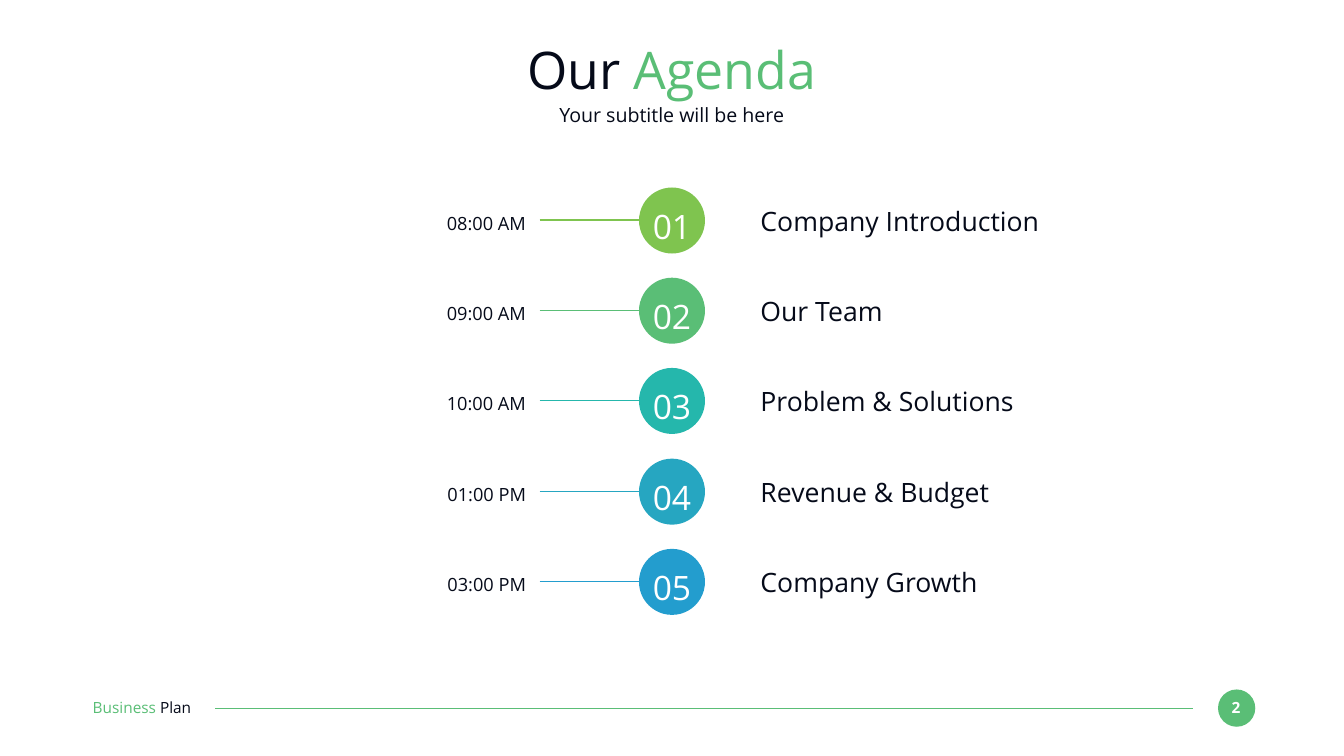
from lxml.etree import SubElement
from pptx import Presentation
from pptx.dml.color import RGBColor
from pptx.enum.shapes import MSO_CONNECTOR, MSO_SHAPE
from pptx.enum.text import MSO_ANCHOR, PP_ALIGN
from pptx.oxml.ns import qn
from pptx.util import Pt

EMU_PER_PX = 9144  # 100 px to the inch
FONT = "Open Sans"
COLORS = {
    "ink": "050A19",
    "white": "FFFFFF",
    "lime": "7FC44F",
    "green": "5ABE76",
    "teal": "25B7AC",
    "cyan": "26A6C1",
    "blue": "239DCE",
}
AGENDA = [
    ("08:00 AM", "Company Introduction", "lime"),
    ("09:00 AM", "Our Team", "green"),
    ("10:00 AM", "Problem & Solutions", "teal"),
    ("01:00 PM", "Revenue & Budget", "cyan"),
    ("03:00 PM", "Company Growth", "blue"),
]
ROW_TOP, ROW_PITCH = 372, 179.25
CIRCLE_LEFT, CIRCLE_SIZE = 1268, 131


def emu(px):
    return px * EMU_PER_PX


def rgb(name):
    return RGBColor.from_string(COLORS[name])


def write_text(frame, runs, size, align=PP_ALIGN.LEFT, spacing=1.0, bold=False):
    """Fill a text frame with one paragraph of (text, colour) runs."""
    frame.word_wrap = True
    frame.vertical_anchor = MSO_ANCHOR.MIDDLE
    frame.margin_left = frame.margin_right = 0
    frame.margin_top = frame.margin_bottom = 0
    paragraph = frame.paragraphs[0]
    paragraph.alignment = align
    paragraph.line_spacing = spacing
    for words, color in runs:
        run = paragraph.add_run()
        run.text = words
        run.font.name = FONT
        run.font.size = Pt(size)
        run.font.bold = bold
        run.font.color.rgb = rgb(color)


class AgendaSlide:
    def __init__(self, presentation):
        title_only = presentation.slide_layouts[5]
        self.slide = presentation.slides.add_slide(title_only)
        self.shapes = self.slide.shapes

    def title(self, runs, left, top, width, height, **style):
        heading = self.shapes.title
        heading.left, heading.top = emu(left), emu(top)
        heading.width, heading.height = emu(width), emu(height)
        write_text(heading.text_frame, runs, **style)

    def text(self, runs, left, top, width, height, **style):
        box = self.shapes.add_textbox(emu(left), emu(top), emu(width), emu(height))
        write_text(box.text_frame, runs, **style)

    def circle(self, left, top, size, color):
        disc = self.shapes.add_shape(
            MSO_SHAPE.OVAL, emu(left), emu(top), emu(size), emu(size))
        disc.shadow.inherit = False
        disc.fill.solid()
        disc.fill.fore_color.rgb = rgb(color)
        disc.line.fill.background()

    def horizontal_line(self, start, end, y, color, weight):
        rule = self.shapes.add_connector(
            MSO_CONNECTOR.STRAIGHT, emu(start), emu(y), emu(end), emu(y))
        rule.line.color.rgb = rgb(color)
        rule.line.width = Pt(weight)
        SubElement(rule.element.spPr, qn("a:effectLst"))

    def footer(self):
        self.circle(2417, 1368, 74, "green")
        self.text([("2", "white")], 2423, 1385, 59, 37,
                  size=22, align=PP_ALIGN.CENTER, bold=True)
        self.horizontal_line(2367, 427, 1405, "green", 1.5)
        self.text([("Business ", "green"), ("Plan", "ink")], 184, 1384, 259, 37,
                  size=22)

    def agenda_row(self, number, time, topic, color):
        top = round(ROW_TOP + (number - 1) * ROW_PITCH)
        self.circle(CIRCLE_LEFT, top, CIRCLE_SIZE, color)
        self.horizontal_line(1071, CIRCLE_LEFT, top + CIRCLE_SIZE // 2, color, 2.25)
        self.text([(f"{number:02}", "white")], 1282, top + 20, 103, 97,
                  size=48, align=PP_ALIGN.CENTER, spacing=1.2)
        self.text([(time, "ink")], 690, top + 37, 354, 53,
                  size=26, align=PP_ALIGN.RIGHT, spacing=1.3)
        self.text([(topic, "ink")], 1509, top + 34, 629, 64, size=38)


def main():
    presentation = Presentation()
    presentation.slide_width = emu(2667)
    presentation.slide_height = emu(1500)

    agenda = AgendaSlide(presentation)
    agenda.footer()
    agenda.title([("Our ", "ink"), ("Agenda", "green")], 183, 73, 2300, 127,
                 size=74, align=PP_ALIGN.CENTER)
    agenda.text([("Your subtitle will be here", "ink")], 183, 203, 2300, 49,
                size=28, align=PP_ALIGN.CENTER)
    for number, (time, topic, color) in enumerate(AGENDA, start=1):
        agenda.agenda_row(number, time, topic, color)

    presentation.save("out.pptx")


if __name__ == "__main__":
    main()
